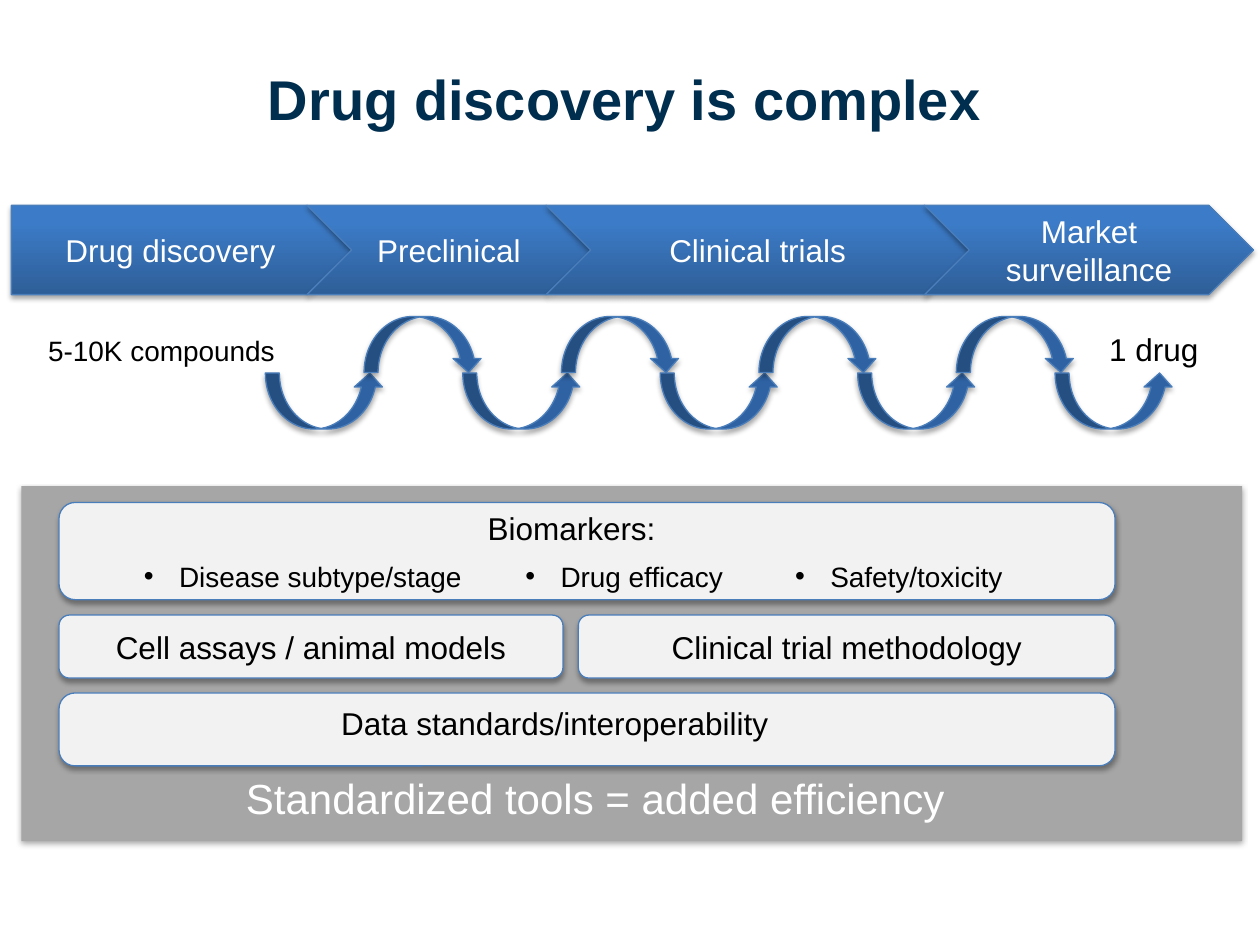
from copy import deepcopy

from lxml import etree
from pptx import Presentation
from pptx.dml.color import RGBColor
from pptx.enum import shapes, text
from pptx.oxml.ns import qn
from pptx.util import Cm, Pt

SHAPE = shapes.MSO_SHAPE
ALIGN = text.PP_ALIGN
ANCHOR = text.MSO_ANCHOR
BLUE_LINE, LIGHT, GREY = "4A7EBB", "F2F2F2", "A6A6A6"
GRADIENT = [(0, "2E5E97"), (0.8, "3C7BC7"), (1, "3A7CCA")]


def rgb(value):
    return RGBColor.from_string(value)


def add_shadow(sp):
    """Give the shape a soft shadow that falls straight down."""
    sp.shadow.inherit = False
    effects = sp._element.spPr.find(qn("a:effectLst"))
    outer = etree.SubElement(effects, qn("a:outerShdw"), blurRad=str(Pt(3)),
                             dist=str(Pt(1.8)), dir="5400000", rotWithShape="0")
    color = etree.SubElement(outer, qn("a:srgbClr"), val="000000")
    etree.SubElement(color, qn("a:alpha"), val="35000")


def fill_gradient(sp):
    sp.fill.gradient()
    sp.fill.gradient_angle = 90
    stops = sp._element.spPr.find(qn("a:gradFill")).find(qn("a:gsLst"))
    stops.append(deepcopy(stops[-1]))
    for stop, (position, color) in zip(sp.fill.gradient_stops, GRADIENT):
        stop.position = position
        stop.color.rgb = rgb(color)


def add_block(s, kind, box, fill=None, line=BLUE_LINE):
    """Add a shadowed preset shape; without a fill colour it gets the gradient."""
    sp = s.shapes.add_shape(kind, *map(Cm, box))
    if fill:
        sp.fill.solid()
        sp.fill.fore_color.rgb = rgb(fill)
    else:
        fill_gradient(sp)
    if line:
        sp.line.color.rgb = rgb(line)
        sp.line.width = Pt(0.75)
    else:
        sp.line.fill.background()
    add_shadow(sp)
    return sp


def write(sp, words, size=18, color="000000", align=ALIGN.LEFT,
          anchor=ANCHOR.TOP, inset=0.13, bold=False, bullet=False):
    tf = sp.text_frame
    tf.word_wrap = True
    tf.vertical_anchor = anchor
    tf.margin_left = tf.margin_right = tf.margin_top = tf.margin_bottom = Cm(inset)
    p = tf.paragraphs[0]
    p.alignment = align
    if bullet:
        pPr = p._p.get_or_add_pPr()
        pPr.set("marL", str(Cm(0.71)))
        pPr.set("indent", str(-Cm(0.71)))
        etree.SubElement(pPr, qn("a:buFont"), typeface="Arial")
        etree.SubElement(pPr, qn("a:buChar"), char="•")
    r = p.add_run()
    r.text = words
    r.font.name = "Arial"
    r.font.size = Pt(size)
    r.font.bold = bold
    r.font.color.rgb = rgb(color)


def add_label(s, words, box, **style):
    write(s.shapes.add_textbox(*map(Cm, box)), words, **style)


def add_centred_block(s, kind, box, words, fill=None, color="000000"):
    write(add_block(s, kind, box, fill), words, color=color,
          align=ALIGN.CENTER, anchor=ANCHOR.MIDDLE, inset=0)


def add_stages(s):
    left, height = 0.23, 1.8
    stages = [("Drug discovery", 6.86), ("Preclinical", 5.72),
              ("Clinical trials", 8.53), ("Market surveillance", 6.63)]
    for i, (name, width) in enumerate(stages):
        kind = SHAPE.CHEVRON if i else SHAPE.PENTAGON
        add_centred_block(s, kind, (left, 4.14, width, height), name, color="FFFFFF")
        left += width - height / 2


def add_cycles(s):
    """Add the chain of arrows that swing below and above the middle line."""
    for i in range(9):
        kind, top = ((SHAPE.CURVED_DOWN_ARROW, 6.38) if i % 2
                     else (SHAPE.CURVED_UP_ARROW, 7.52))
        add_block(s, kind, (5.35 + 1.99 * i, top, 2.39, 1.13), "2F62A2")
    add_label(s, "5-10K compounds", (0.84, 6.6, 4.88, 0.86), size=16)
    add_label(s, "1 drug", (22.23, 6.53, 2.08, 0.97))


def add_tools(s):
    left, width = 1.19, 21.29
    add_block(s, SHAPE.RECTANGLE, (0.43, 9.8, 24.61, 7.16), GREY, None)
    add_label(s, "Standardized tools = added efficiency",
              (4.83, 15.44, 15.47, 1.22), size=24, color="FFFFFF")

    add_block(s, SHAPE.ROUNDED_RECTANGLE, (left, 10.13, width, 1.96), LIGHT)
    add_label(s, "Biomarkers:", (9.7, 10.13, 3.99, 0.97))
    for words, x, w in [("Disease subtype/stage", 2.77, 7.7),
                        ("Drug efficacy", 10.46, 4.8),
                        ("Safety/toxicity", 15.9, 5.92)]:
        add_label(s, words, (x, 11.15, w, 0.86), size=16, bullet=True)

    for words, x, w in [("Cell assays / animal models", left, 10.16),
                        ("Clinical trial methodology", 11.66, 10.82)]:
        add_centred_block(s, SHAPE.ROUNDED_RECTANGLE, (x, 12.4, w, 1.27), words, LIGHT)

    standards = add_block(s, SHAPE.ROUNDED_RECTANGLE, (left, 13.97, width, 1.47), LIGHT)
    standards.adjustments[0] = 0.22
    add_label(s, "Data standards/interoperability", (6.88, 14.2, 9.65, 0.97), inset=0)


def main():
    prs = Presentation()
    prs.slide_width, prs.slide_height = Cm(25.4), Cm(19.05)
    s = prs.slides.add_slide(prs.slide_layouts[6])
    add_tools(s)
    add_label(s, "Drug discovery is complex", (0.43, 0.79, 24.33, 2.36), size=32,
              color="002E4F", align=ALIGN.CENTER, anchor=ANCHOR.MIDDLE,
              inset=0.25, bold=True)
    add_stages(s)
    add_cycles(s)
    prs.save("out.pptx")


if __name__ == "__main__":
    main()
